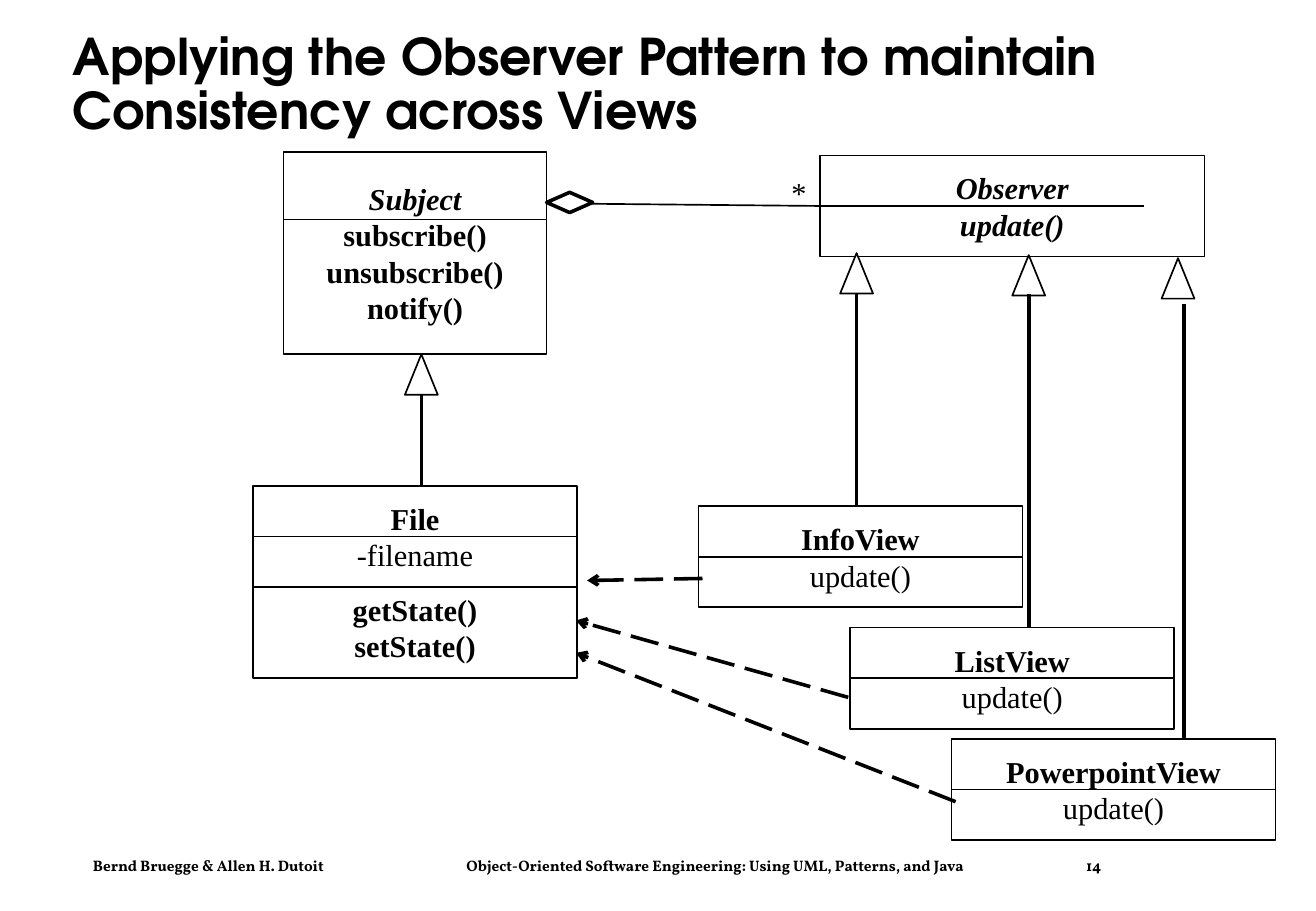
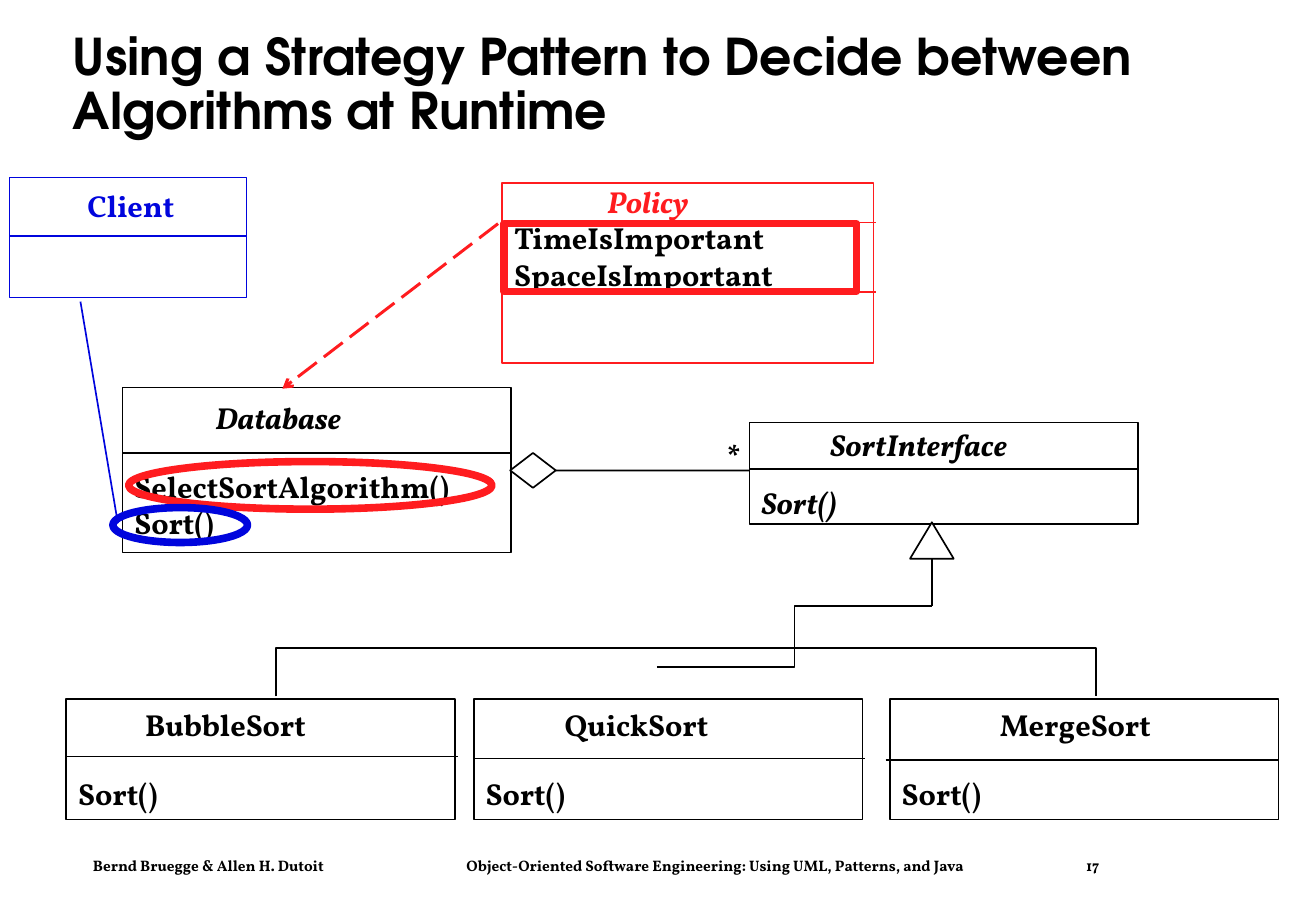
import pptx
import pptx.dml.color
import pptx.enum.dml
import pptx.enum.shapes
import pptx.enum.text
import pptx.oxml
import pptx.oxml.ns
import pptx.shapes.autoshape
import pptx.shapes.connector
import pptx.slide
import pptx.util
from dataclasses import dataclass
from typing import Optional

BLACK = pptx.dml.color.RGBColor(0x00, 0x00, 0x00)
WHITE = pptx.dml.color.RGBColor(0xFF, 0xFF, 0xFF)
RED = pptx.dml.color.RGBColor(0xFF, 0x1C, 0x1F)
BLUE = pptx.dml.color.RGBColor(0x00, 0x05, 0xDD)
Color = pptx.dml.color.RGBColor

HEAD = "TeX Gyre Adventor"
SERIF = "Times New Roman"
BOOK = "Vollkorn"

COLS, ROWS = 130, 90
CELL = pptx.util.Inches(1 / 12)
LEAD = 21.6
SKIP = 19.2
THICK = 2.25
DASH = 2.13

KIND = pptx.enum.shapes.MSO_SHAPE
JOIN = pptx.enum.shapes.MSO_CONNECTOR
ALIGN = pptx.enum.text.PP_ALIGN
MIDDLE = pptx.enum.text.MSO_ANCHOR.MIDDLE
TOP = pptx.enum.text.MSO_ANCHOR.TOP
Shape = pptx.shapes.autoshape.Shape
Wire = pptx.shapes.connector.Connector
Slide = pptx.slide.Slide


@dataclass(frozen=True)
class Area:
    x: float
    y: float
    w: float
    h: float

    def place(self) -> tuple[int, int, int, int]:
        return cell(self.x), cell(self.y), cell(self.w), cell(self.h)


@dataclass(frozen=True)
class Row:
    text: str
    bold: bool = True
    slant: bool = False
    color: Color = BLACK
    indent: float = 0
    gap: float = 0


@dataclass(frozen=True)
class Box:
    area: Area
    rows: tuple[Row, ...]
    font: str = SERIF
    align: ALIGN = ALIGN.CENTER
    color: Color = BLACK
    top: Optional[float] = None


@dataclass(frozen=True)
class Line:
    x: float
    y: float
    to_x: float
    to_y: float
    width: float = 1
    color: Color = BLACK
    dash: bool = False
    kind: JOIN = JOIN.STRAIGHT


def cell(count: float) -> int:
    return round(count * CELL)


def write(shape: Shape, rows: tuple[Row, ...], font: str, align: ALIGN) -> None:
    frame = shape.text_frame
    for order, row in enumerate(rows):
        para = frame.paragraphs[0] if order == 0 else frame.add_paragraph()
        para.alignment = align
        para.line_spacing = pptx.util.Pt(LEAD)
        if row.gap:
            para.space_before = pptx.util.Pt(row.gap)
        if row.indent:
            props = para._p.get_or_add_pPr()
            props.set("marL", str(cell(row.indent)))
            props.set("indent", "0")
        style(para, row.text, font, 18, row.bold, row.slant, row.color)


def style(para, text: str, font: str, size: float, bold: bool = True,
          slant: bool = False, color: Color = BLACK) -> None:
    run = para.add_run()
    run.text = text
    run.font.name = font
    run.font.size = pptx.util.Pt(size)
    run.font.bold = bold
    run.font.italic = slant
    run.font.color.rgb = color


def paint(shape: Shape, color: Color, width: float, fill: bool) -> None:
    shape.shadow.inherit = False
    if fill:
        shape.fill.solid()
        shape.fill.fore_color.rgb = WHITE
    else:
        shape.fill.background()
    shape.line.color.rgb = color
    shape.line.width = pptx.util.Pt(width)


def form(slide: Slide, kind: KIND, area: Area, color: Color = BLACK,
         width: float = 1, fill: bool = True) -> Shape:
    shape = slide.shapes.add_shape(kind, *area.place())
    paint(shape, color, width, fill)
    return shape


def card(slide: Slide, box: Box) -> Shape:
    shape = form(slide, KIND.RECTANGLE, box.area, box.color)
    frame = shape.text_frame
    frame.word_wrap = True
    frame.vertical_anchor = MIDDLE
    if box.top is not None:
        frame.vertical_anchor = TOP
        frame.margin_top = cell(box.top)
    write(shape, box.rows, box.font, box.align)
    return shape


def wire(slide: Slide, line: Line, start: Optional[tuple[Shape, int]] = None,
         stop: Optional[tuple[Shape, int]] = None) -> Wire:
    link = slide.shapes.add_connector(
        line.kind, cell(line.x), cell(line.y), cell(line.to_x), cell(line.to_y))
    link.line.color.rgb = line.color
    link.line.width = pptx.util.Pt(line.width)
    props = link.element.spPr
    if line.dash:
        link.line.dash_style = pptx.enum.dml.MSO_LINE.LONG_DASH
        tail = pptx.oxml.ns.qn("a:tailEnd")
        edge = props.find(pptx.oxml.ns.qn("a:ln"))
        edge.append(edge.makeelement(tail, {"type": "arrow"}))
    props.append(props.makeelement(pptx.oxml.ns.qn("a:effectLst"), {}))
    if start:
        link.begin_connect(*start)
    if stop:
        link.end_connect(*stop)
    return link


def rule(slide: Slide, x: float, to_x: float, y: float, color: Color = BLACK) -> None:
    wire(slide, Line(x, y, to_x, y, color=color))


def split(slide: Slide, box: Box) -> None:
    shape, area = card(slide, box), box.area
    mid = area.y + area.h / 2
    wire(slide, Line(area.x, mid, area.x + area.w, mid), (shape, 1), (shape, 3))


def star(slide: Slide, area: Area, font: str, bold: bool, align: ALIGN) -> None:
    shape = slide.shapes.add_textbox(*area.place())
    shape.text_frame.word_wrap = False
    write(shape, (Row("*", bold),), font, align)


def start(deck, title: str, page: str) -> Slide:
    slide = deck.slides.add_slide(deck.slide_layouts[5])
    head = slide.shapes.title
    head.left, head.top, head.width, head.height = Area(6, 2.9, 116, 11.25).place()
    frame = head.text_frame
    frame.word_wrap = True
    frame.auto_size = pptx.enum.text.MSO_AUTO_SIZE.NONE
    frame.vertical_anchor = MIDDLE
    para = frame.paragraphs[0]
    para.alignment = ALIGN.LEFT
    para.line_spacing = 0.9
    style(para, title, HEAD, 30)

    foot = slide.shapes.add_textbox(*Area(8, 84, 110, 3).place())
    foot.text_frame.word_wrap = True
    para = foot.text_frame.paragraphs[0]
    props = para._p.get_or_add_pPr()
    tabs = props.makeelement(pptx.oxml.ns.qn("a:tabLst"), {})
    for stop in (36.9, 98.1):
        tabs.append(tabs.makeelement(
            pptx.oxml.ns.qn("a:tab"), {"pos": str(cell(stop)), "algn": "l"}))
    props.append(tabs)
    for text in ("Bernd Bruegge & Allen H. Dutoit",
                 "\tObject-Oriented Software Engineering: Using UML, Patterns, and Java",
                 "\t" + page):
        style(para, text, BOOK, 9)
    return slide


def watch(deck) -> None:
    slide = start(
        deck, "Applying the Observer Pattern to maintain Consistency across Views", "14")

    base = card(slide, Box(Area(81, 15.35, 38, 10), (
        Row("Observer", slant=True), Row("update()", slant=True))))
    wire(slide, Line(55, 20.1, 81, 20.35), stop=(base, 1))
    wire(slide, Line(81, 20.35, 113, 20.35), start=(base, 1))
    star(slide, Area(77, 16.6, 3.84, 4.8), SERIF, False, ALIGN.CENTER)

    card(slide, Box(Area(28, 15, 26, 20), (
        Row("Subject", slant=True), Row("subscribe()"),
        Row("unsubscribe()"), Row("notify()"))))
    rule(slide, 28, 54, 21.7)
    wire(slide, Line(41.65, 38, 41.65, 50.5, THICK))
    form(slide, KIND.FLOWCHART_EXTRACT, Area(40, 35, 3.25, 4))
    card(slide, Box(Area(25, 57, 32, 10), (Row("getState()"), Row("setState()"))))
    split(slide, Box(Area(25, 48, 32, 10), (Row("File"), Row("-filename", False))))

    for name, x, y, tip_x, tip_y, stem, foot in (
            ("InfoView", 69, 50, 83, 25, 84.6, 29),
            ("ListView", 84, 62, 100, 25.2, 101.65, 29),
            ("PowerpointView", 94, 73, 114.75, 25.5, 117, 30)):
        form(slide, KIND.FLOWCHART_EXTRACT, Area(tip_x, tip_y, 3.25, 4))
        wire(slide, Line(stem, foot, stem, y + 0.5, THICK))
        split(slide, Box(Area(x, y, 32, 10), (Row(name), Row("update()", False))))

    for ends in ((69.4, 57.15, 58, 57.35), (83.8, 68.9, 56.9, 61.3),
                 (94.4, 79.2, 56.9, 64.5)):
        wire(slide, Line(*ends, DASH, dash=True))
    form(slide, KIND.DIAMOND, Area(54, 19, 4.55, 2), width=DASH)


def choose(deck) -> None:
    slide = start(
        deck, "Using a Strategy Pattern to Decide between Algorithms at Runtime", "17")

    def block(area: Area, *rows: Row, color: Color = BLACK,
              top: Optional[float] = None) -> None:
        card(slide, Box(area, rows, BOOK, ALIGN.LEFT, color, top))

    block(Area(12.1, 38.3, 38.4, 16.3), Row("Database", slant=True, indent=8),
          Row("SelectSortAlgorithm()", gap=SKIP), Row("Sort()"))
    rule(slide, 12.2, 50.4, 44.75)
    star(slide, Area(70.6, 42.7, 3.72, 4.8), BOOK, True, ALIGN.LEFT)
    gem = form(slide, KIND.DIAMOND, Area(50.4, 44.75, 4.5, 3.45))
    wire(slide, Line(54.9, 46.48, 75.2, 46.48), start=(gem, 3))

    block(Area(74.05, 41.75, 38.4, 10), Row("SortInterface", slant=True, indent=6.8),
          Row("Sort()", slant=True, gap=13))
    rule(slide, 74.1, 112.3, 46.35)
    form(slide, KIND.ISOSCELES_TRIANGLE, Area(89.9, 51.6, 4.32, 3.6))
    wire(slide, Line(92.1, 55.2, 92.1, 59.9))
    pen = slide.shapes.build_freeform(cell(27.25), cell(68.8))
    pen.add_line_segments([(cell(27.25), cell(64.05)), (cell(108.25), cell(64.05)),
                           (cell(108.25), cell(68.8))], close=False)
    paint(pen.convert_to_shape(), BLACK, 1, False)
    wire(slide, Line(64.9, 65.9, 92.1, 59.9, kind=JOIN.ELBOW))

    for name, x, indent, edge, mid in (
            ("BubbleSort", 6.55, 6.6, 6.55, 74.75),
            ("QuickSort", 46.8, 7.8, 46.8, 74.95),
            ("MergeSort", 87.9, 9.7, 87.5, 75.1)):
        block(Area(x, 69.05, 38.4, 11.9), Row(name, indent=indent),
              Row("Sort()", gap=SKIP))
        rule(slide, edge, edge + 38.7, mid)

    block(Area(49.6, 18.1, 36.7, 17.8),
          Row("Policy", slant=True, color=RED, indent=9.2),
          Row("TimeIsImportant"), Row("SpaceIsImportant"), color=RED, top=0)
    wire(slide, Line(49.2, 22.1, 27.9, 38.4, 1.75, RED, True))
    rule(slide, 50.4, 86.5, 22, RED)
    rule(slide, 50.2, 86.5, 28.85, RED)
    form(slide, KIND.OVAL, Area(12.7, 45.6, 35.9, 4.7), RED, 4.5, False)
    form(slide, KIND.RECTANGLE, Area(49.8, 22.1, 34.8, 6.7), RED, 4.5, False)

    block(Area(0.95, 17.55, 23.4, 11.85), Row("Client", color=BLUE, indent=6.5),
          color=BLUE, top=0.95)
    rule(slide, 0.95, 24.45, 23.3, BLUE)
    wire(slide, Line(7.95, 29.8, 11.65, 51.7, color=BLUE))
    form(slide, KIND.OVAL, Area(11.15, 50.15, 13.3, 3.45), BLUE, 4.5, False)


def main() -> None:
    deck = pptx.Presentation()
    deck.slide_width, deck.slide_height = cell(COLS), cell(ROWS)
    watch(deck)
    choose(deck)
    deck.save("out.pptx")


if __name__ == "__main__":
    main()
